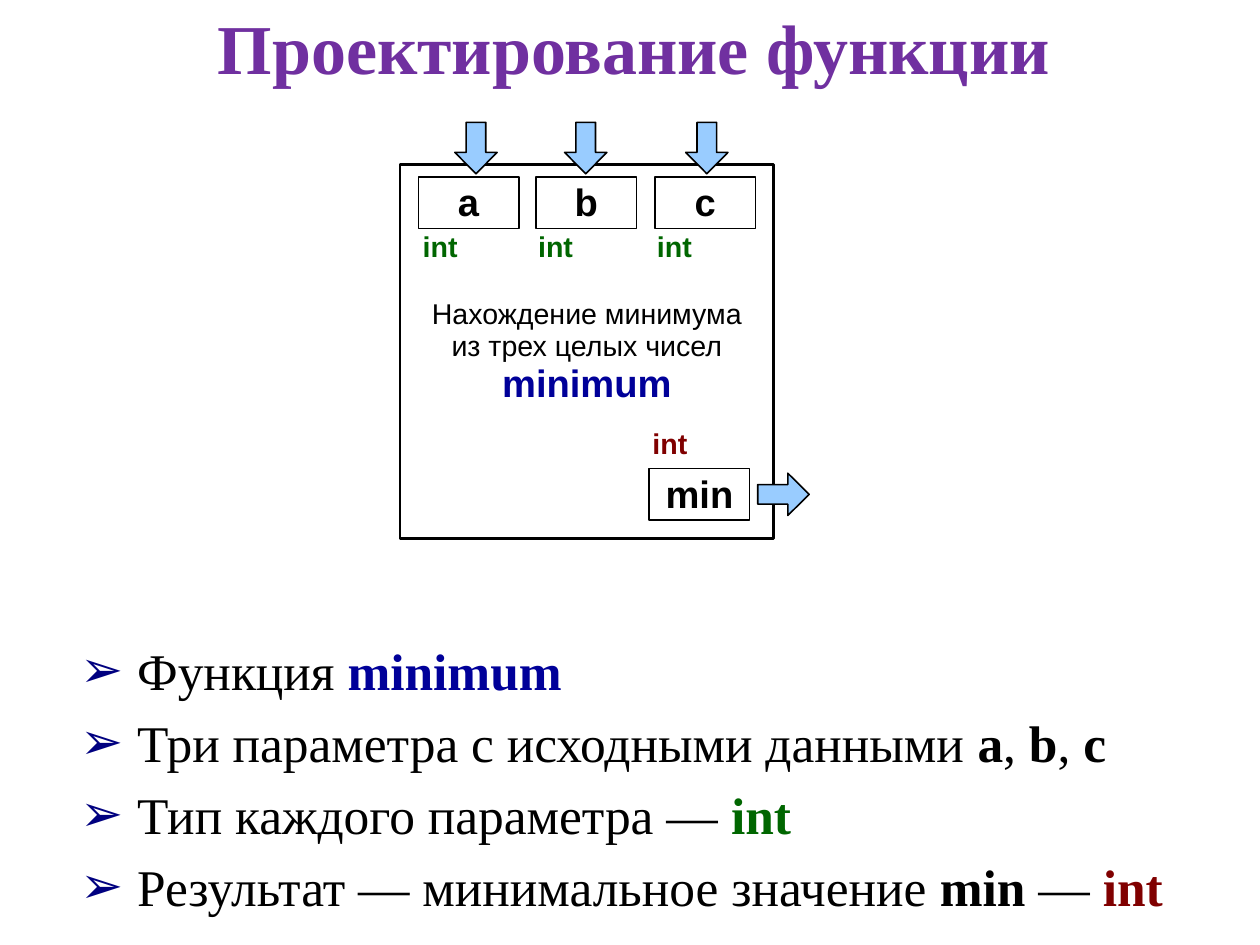
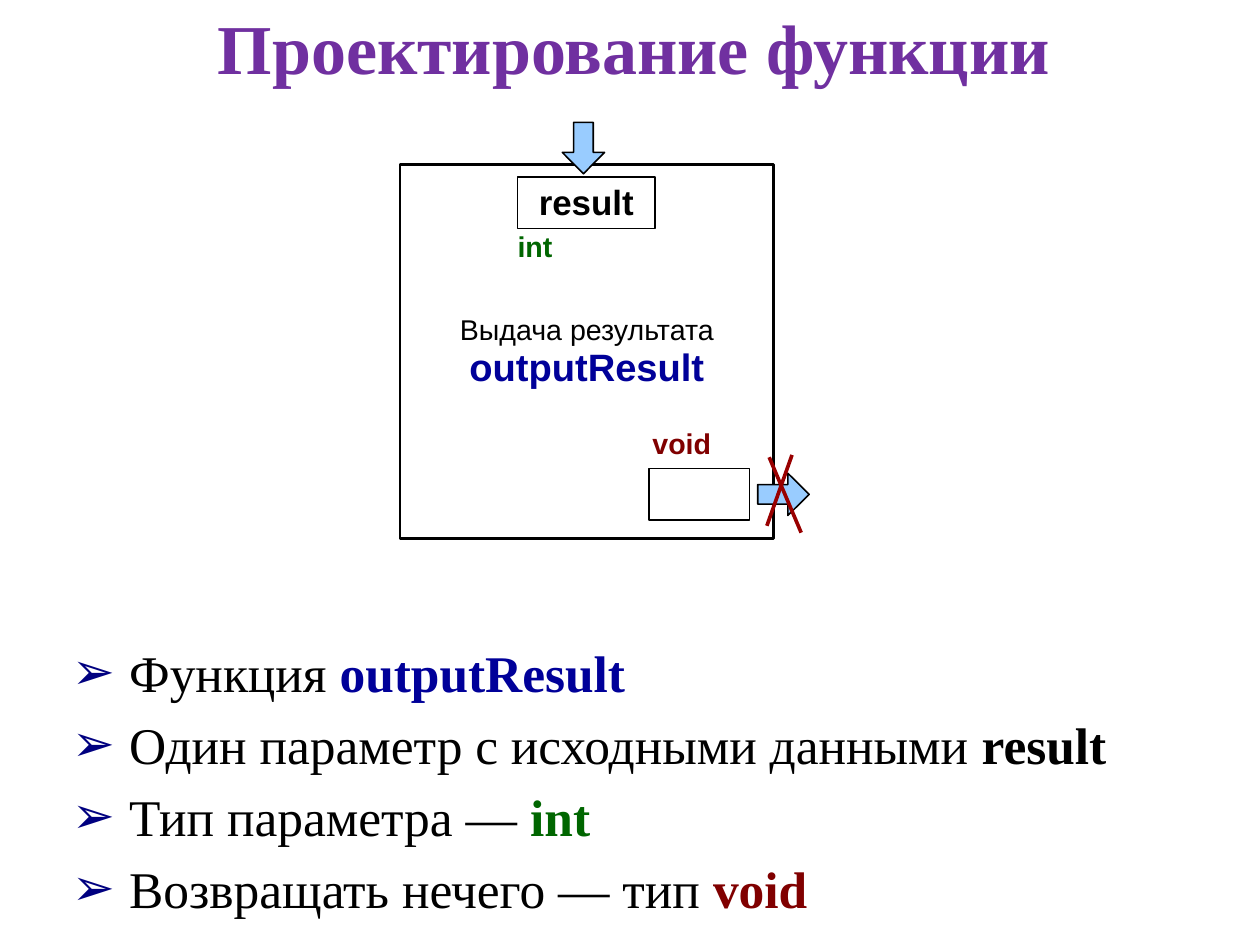
from dataclasses import dataclass
from typing import NamedTuple

from lxml.etree import SubElement
from pptx import Presentation
from pptx.dml.color import RGBColor
from pptx.enum.shapes import MSO_CONNECTOR, MSO_SHAPE
from pptx.enum.text import MSO_ANCHOR, MSO_AUTO_SIZE, PP_ALIGN
from pptx.oxml.ns import qn
from pptx.util import Inches, Pt


# Colours, fonts and type sizes
@dataclass(frozen=True)
class Theme:
    serif: str = "Times New Roman"
    sans: str = "Arial"
    title: str = "7030A0"
    ink: str = "000000"
    name: str = "000099"
    input: str = "006600"
    output: str = "800000"
    cross: str = "990000"
    arrow: str = "99CCFF"
    bullet: str = "000080"
    head: float = 44.1
    list: float = 32.4
    big: float = 24
    mid: float = 22
    small: float = 18


THEME = Theme()


class Box(NamedTuple):
    left: float
    top: float
    width: float
    height: float


class Span(NamedTuple):
    text: str
    color: str = THEME.ink
    bold: bool = False


class Param(NamedTuple):
    name: str
    left: float
    arrow: float
    label: float
    width: float = 0.88
    size: float = THEME.big


@dataclass
class Page:
    name: str
    about: list[str]
    params: list[Param]
    result: str
    kind: str
    kind_width: float
    body: Box
    items: list[list[Span]]
    crossed: bool = False


TITLE = "Проектирование функции"
TITLE_BOX = Box(0.59, 0.04, 9.92, 0.75)
FRAME = Box(3.5, 1.44, 3.27, 3.27)
RESULT = Box(5.68, 4.1, 0.88, 0.45)
OUT_ARROW = Box(6.67, 4.1, 0.37, 0.45)
CROSS = [(6.73, 4, 7.01, 4.66), (6.93, 3.98, 6.71, 4.6)]


def strong(text: str, color: str = THEME.ink) -> Span:
    return Span(text, color, True)


PAGES = [
    Page(
        "minimum", ["Нахождение минимума", "из трех целых чисел"],
        [Param("a", 3.66, 3.98, 3.6), Param("b", 4.69, 4.94, 4.61),
         Param("c", 5.73, 6, 5.65)],
        "min", "int", 0.55, Box(0.47, 5.53, 9.92, 2.25),
        [
            [Span("Функция "), strong("minimum", THEME.name)],
            [Span("Три параметра с исходными данными "), strong("a"), Span(", "),
             strong("b"), Span(", "), strong("c")],
            [Span("Тип каждого параметра — "), strong("int", THEME.input)],
            [Span("Результат — минимальное значение "), strong("min"),
             Span(" — "), strong("int", THEME.output)],
        ],
    ),
    Page(
        "outputResult", ["Выдача результата"],
        [Param("result", 4.53, 4.92, 4.43, 1.2, THEME.mid)],
        "", "void", 0.79, Box(0.4, 5.55, 9.47, 2.25),
        [
            [Span("Функция "), strong("outputResult", THEME.name)],
            [Span("Один параметр с исходными данными "), strong("result")],
            [Span("Тип параметра — "), strong("int", THEME.input)],
            [Span("Возвращать нечего — тип "), strong("void", THEME.output)],
        ],
        crossed=True,
    ),
]


# Text helpers
def style(font, size: float, color: str, bold: bool, face: str) -> None:
    font.name, font.size, font.bold = face, Pt(size), bold
    font.color.rgb = RGBColor.from_string(color)


def inset(frame, left: float, top: float, bottom: float) -> None:
    frame.margin_left = frame.margin_right = Inches(left)
    frame.margin_top, frame.margin_bottom = Inches(top), Inches(bottom)


def place(shape, box: Box) -> None:
    shape.left, shape.top, shape.width, shape.height = map(Inches, box)


def mark(para) -> None:
    """Give a paragraph the arrow bullet and its hanging indent."""
    props = para._p.get_or_add_pPr()
    props.set("marL", str(Inches(0.62)))
    props.set("indent", str(Inches(-0.5)))
    tint = SubElement(props, qn("a:buClr"))
    SubElement(tint, qn("a:srgbClr")).set("val", THEME.bullet)
    SubElement(props, qn("a:buChar")).set("char", "➢")


# Diagram parts
def draw(group, kind: MSO_SHAPE, box: Box, fill: str = "", width: float = 1):
    shape = group.shapes.add_shape(kind, *map(Inches, box))
    shape.shadow.inherit = False
    if fill:
        shape.fill.solid()
        shape.fill.fore_color.rgb = RGBColor.from_string(fill)
    else:
        shape.fill.background()
    shape.line.color.rgb = RGBColor.from_string(THEME.ink)
    shape.line.width = Pt(width)
    frame = shape.text_frame
    frame.word_wrap = False
    frame.vertical_anchor = MSO_ANCHOR.MIDDLE
    inset(frame, 0.11, 0.08, 0.06)
    para = frame.paragraphs[0]
    para.alignment = PP_ALIGN.CENTER
    para.line_spacing = 0.93
    return shape


def cell(group, box: Box, text: str, size: float) -> None:
    shape = draw(group, MSO_SHAPE.RECTANGLE, box)
    if text:
        para = shape.text_frame.paragraphs[0]
        para.text = text
        style(para.font, size, THEME.ink, True, THEME.sans)


def arrow(group, box: Box, turn: float = 0) -> None:
    shape = draw(group, MSO_SHAPE.DOWN_ARROW, box, THEME.arrow)
    shape.adjustments[0], shape.adjustments[1] = 0.464, 0.505
    shape.rotation = turn


def label(group, box: Box, text: str, color: str) -> None:
    frame = group.shapes.add_textbox(*map(Inches, box)).text_frame
    frame.word_wrap = True
    inset(frame, 0.1, 0.07, 0.05)
    para = frame.paragraphs[0]
    para.text = text
    para.line_spacing = 0.93
    style(para.font, THEME.small, color, True, THEME.sans)


def line(group, ends: tuple[float, float, float, float]) -> None:
    link = group.shapes.add_connector(MSO_CONNECTOR.STRAIGHT, *map(Inches, ends))
    link.line.color.rgb = RGBColor.from_string(THEME.cross)
    link.line.width = Pt(2.3)
    SubElement(link._element.spPr, qn("a:effectLst"))


def chart(slide, page: Page) -> None:
    """Draw the function as a box with its inputs and its result."""
    group = slide.shapes.add_group_shape()
    frame = draw(group, MSO_SHAPE.RECTANGLE, FRAME, width=1.5)
    para = frame.text_frame.paragraphs[0]
    for text in page.about:
        run = para.add_run()
        run.text = text
        style(run.font, THEME.small, THEME.ink, False, THEME.sans)
        para.add_line_break()
    run = para.add_run()
    run.text = page.name
    style(run.font, THEME.big, THEME.name, True, THEME.sans)

    for item in page.params:
        cell(group, Box(item.left, 1.55, item.width, 0.45), item.name, item.size)
        arrow(group, Box(item.arrow, 1.07, 0.37, 0.45))
        label(group, Box(item.label, 1.96, 0.55, 0.41), "int", THEME.input)

    cell(group, RESULT, page.result, THEME.big)
    arrow(group, OUT_ARROW, 270)
    label(group, Box(5.61, 3.68, page.kind_width, 0.41), page.kind, THEME.output)
    if page.crossed:
        for ends in CROSS:
            line(group, ends)


# Placeholders
def head(slide) -> None:
    shape = slide.shapes.title
    place(shape, TITLE_BOX)
    frame = shape.text_frame
    frame.auto_size = MSO_AUTO_SIZE.NONE
    frame.vertical_anchor = MSO_ANCHOR.MIDDLE
    inset(frame, 0.11, 0.04, 0.06)
    para = frame.paragraphs[0]
    para.text = TITLE
    para.alignment = PP_ALIGN.CENTER
    style(para.font, THEME.head, THEME.title, True, THEME.serif)


def body(slide, page: Page) -> None:
    shape = slide.placeholders[1]
    place(shape, page.body)
    frame = shape.text_frame
    frame.auto_size = MSO_AUTO_SIZE.NONE
    inset(frame, 0.11, 0.06, 0.06)
    for i, item in enumerate(page.items):
        para = frame.add_paragraph() if i else frame.paragraphs[0]
        mark(para)
        para.space_before = Pt(6.5 if i else 0)
        para.font.name, para.font.size = THEME.serif, Pt(THEME.list)
        for span in item:
            run = para.add_run()
            run.text = span.text
            run.font.bold = span.bold
            run.font.color.rgb = RGBColor.from_string(span.color)


def main() -> None:
    deck = Presentation()
    # The page is 28 by 21 cm, set in points to keep its exact ratio
    deck.slide_width, deck.slide_height = Pt(793.75), Pt(595.25)
    for page in PAGES:
        slide = deck.slides.add_slide(deck.slide_layouts[1])
        head(slide)
        body(slide, page)
        chart(slide, page)
    deck.save("out.pptx")


if __name__ == "__main__":
    main()
